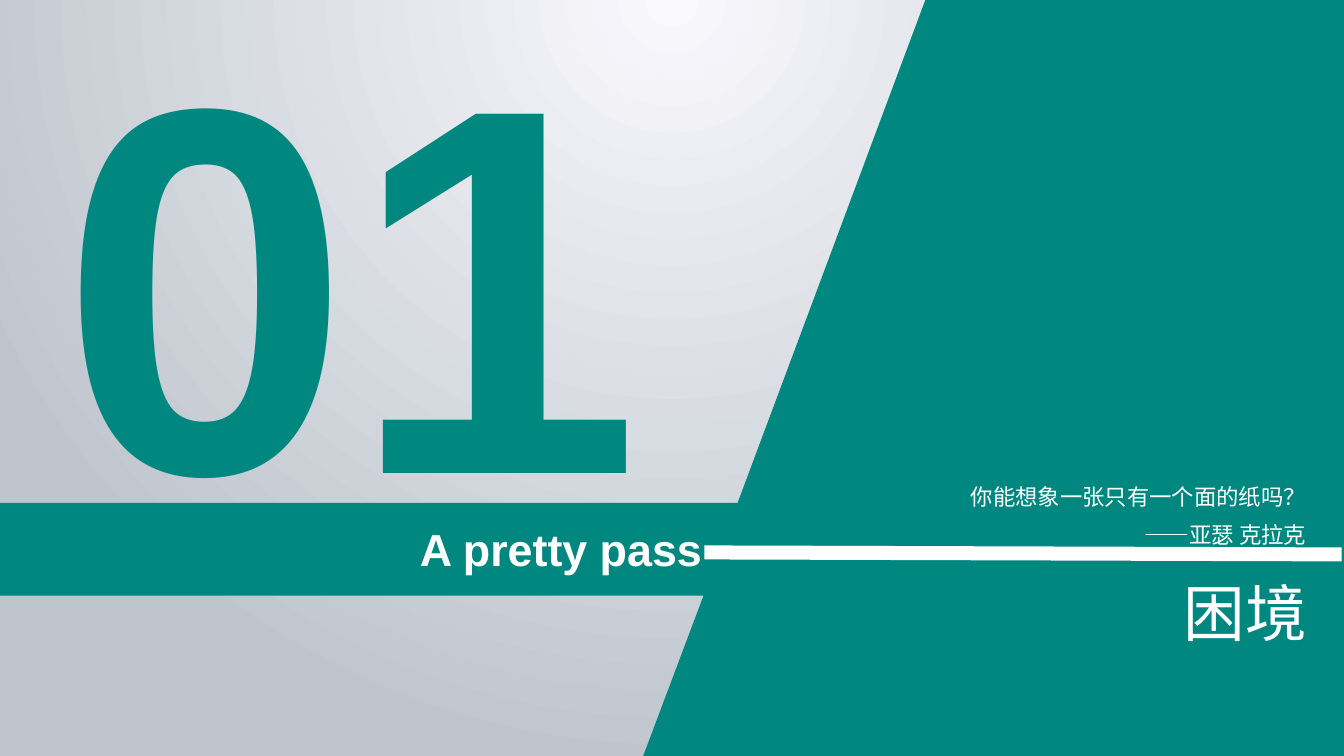
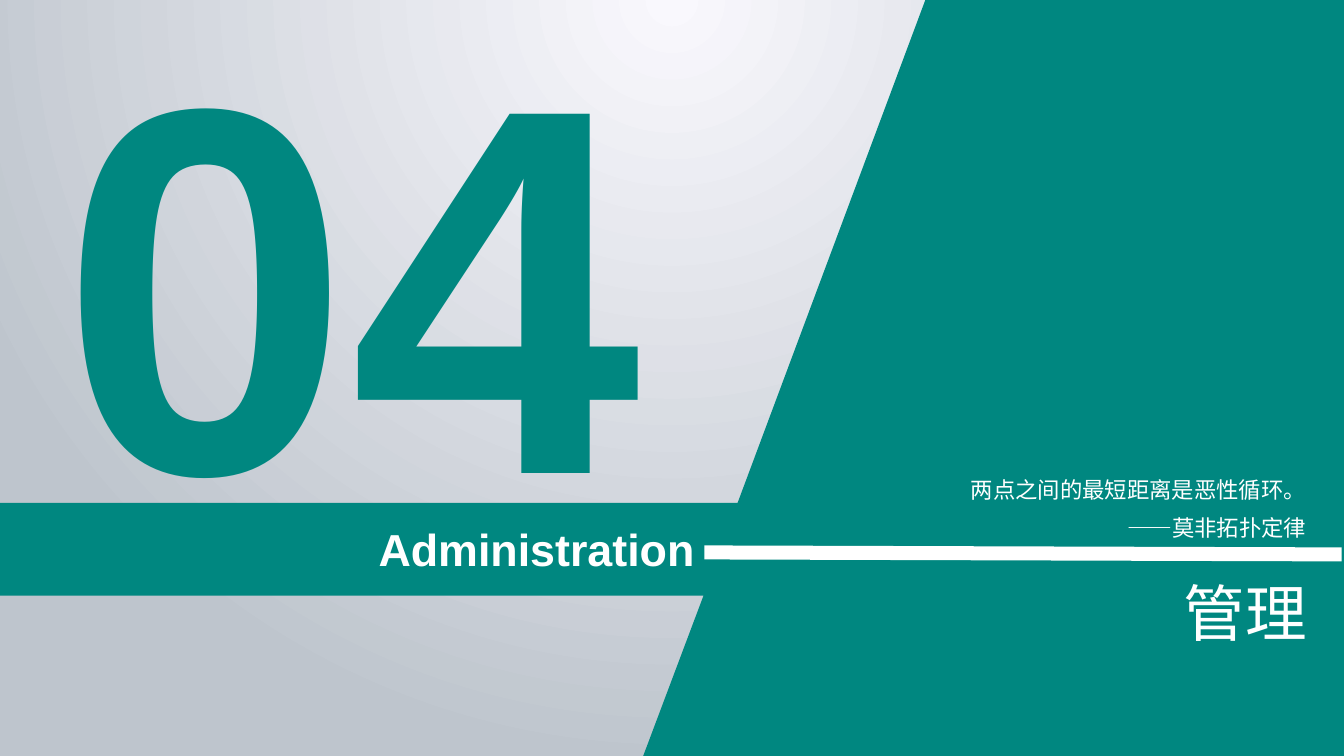
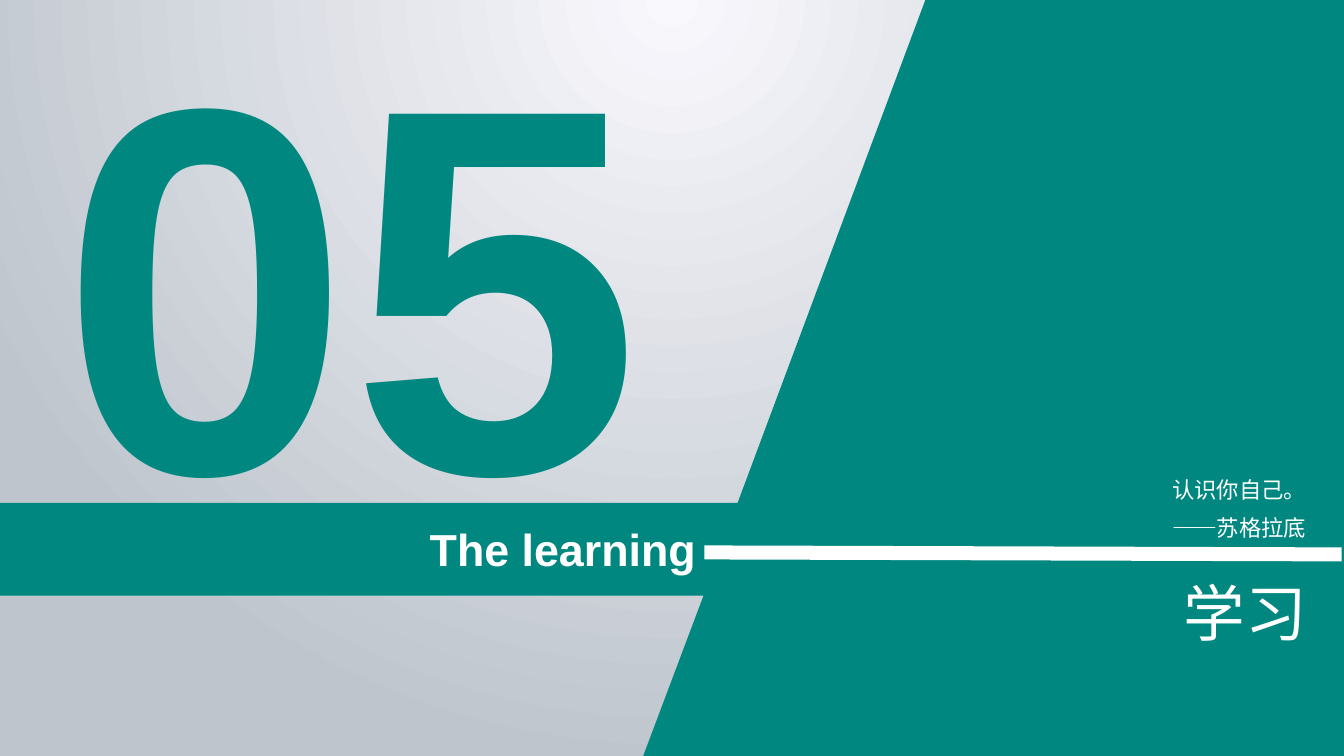
from dataclasses import dataclass

from lxml import etree
from pptx import Presentation
from pptx.dml.color import RGBColor
from pptx.enum.shapes import MSO_CONNECTOR
from pptx.enum.text import MSO_ANCHOR, MSO_AUTO_SIZE, PP_ALIGN
from pptx.oxml import parse_xml
from pptx.oxml.ns import nsdecls, qn
from pptx.util import Cm, Pt

STRAIGHT = MSO_CONNECTOR.STRAIGHT
TOP = MSO_ANCHOR.TOP
NO_FIT = MSO_AUTO_SIZE.NONE
GROW = MSO_AUTO_SIZE.SHAPE_TO_FIT_TEXT
LEFT, RIGHT = PP_ALIGN.LEFT, PP_ALIGN.RIGHT


@dataclass(frozen=True)
class Theme:
    teal: RGBColor = RGBColor(0x00, 0x87, 0x80)
    white: RGBColor = RGBColor(0xFF, 0xFF, 0xFF)
    glow: str = "F9F8FD"
    haze: str = "BEC5CD"
    latin: str = "Arial"
    chinese: str = "Noto Sans CJK SC"
    number_size: Pt = Pt(373)
    title_size: Pt = Pt(44)
    english_size: Pt = Pt(32)
    quote_size: Pt = Pt(16)
    rule_width: Pt = Pt(10)


THEME = Theme()
WIDTH, HEIGHT = 33.87, 19.05
BAND_TOP, BAND_BOTTOM = 12.67, 15.01
PANEL_OUTLINE = [
    (23.32, 0), (WIDTH, 0), (WIDTH, HEIGHT), (16.21, HEIGHT),
    (17.73, BAND_BOTTOM), (0, BAND_BOTTOM), (0, BAND_TOP), (18.59, BAND_TOP),
]

# number, title, English title, its left and width, quote, its top
SECTIONS = [
    ("01", "困境", "A pretty pass", 10.33, 7.7,
     ["你能想象一张只有一个面的纸吗？", "——亚瑟 克拉克"], 11.78),
    ("04", "管理", "Administration", 9.29, 8.55,
     ["两点之间的最短距离是恶性循环。", "——莫非拓扑定律"], 11.61),
    ("05", "学习", "The learning", 10.58, 7.3,
     ["认识你自己。", "——苏格拉底"], 11.61),
]


def place(shape, left, top, width, height):
    shape.left, shape.top = Cm(left), Cm(top)
    shape.width, shape.height = Cm(width), Cm(height)


def write(shape, lines, size, color, face, bold=False, align=LEFT,
          spacing=1.0, wrap=True):
    """Fill a text shape with evenly formatted paragraphs."""
    frame = shape.text_frame
    frame.text = "\n".join(lines)
    frame.word_wrap = wrap
    frame.auto_size = NO_FIT if wrap else GROW
    frame.vertical_anchor = TOP
    for paragraph in frame.paragraphs:
        paragraph.alignment = align
        paragraph.line_spacing = spacing
        paragraph.space_before = Pt(0)
        font = paragraph.font
        font.size, font.bold, font.name = size, bold, face
        font.color.rgb = color
        defaults = paragraph._p.pPr.find(qn("a:defRPr"))
        etree.SubElement(defaults, qn("a:ea"), typeface=face)


deck = Presentation()
deck.slide_width, deck.slide_height = Cm(WIDTH), Cm(HEIGHT)

backdrop = deck.slide_master.background
backdrop.fill.solid()
solid = deck.slide_master._element.find(".//" + qn("p:bgPr"))[0]
solid.getparent().replace(solid, parse_xml(
    f'<a:gradFill {nsdecls("a")} rotWithShape="1"><a:gsLst>'
    f'<a:gs pos="0"><a:srgbClr val="{THEME.glow}"/></a:gs>'
    f'<a:gs pos="100000"><a:srgbClr val="{THEME.haze}"/></a:gs></a:gsLst>'
    '<a:path path="circle">'
    '<a:fillToRect l="50000" t="-80000" r="50000" b="180000"/>'
    '</a:path></a:gradFill>'))

section_layout = deck.slide_layouts.get_by_name("Section Header")

for (number, title, english, english_left, english_width,
     quote, quote_top) in SECTIONS:
    slide = deck.slides.add_slide(section_layout)
    shapes = slide.shapes
    heading, quotation = slide.placeholders

    outline = shapes.build_freeform(*map(Cm, PANEL_OUTLINE[0]))
    outline.add_line_segments([(Cm(x), Cm(y)) for x, y in PANEL_OUTLINE[1:]])
    panel = outline.convert_to_shape()
    panel.shadow.inherit = False
    panel.fill.solid()
    panel.fill.fore_color.rgb = THEME.teal
    panel.line.fill.background()
    # The panel goes behind the placeholders
    heading._element.addprevious(panel._element)

    rule = shapes.add_connector(
        STRAIGHT, Cm(17.75), Cm(13.92), Cm(33.81), Cm(13.97))
    rule.line.color.rgb = THEME.white
    rule.line.width = THEME.rule_width
    etree.SubElement(rule._element.spPr, qn("a:effectLst"))

    numeral = shapes.add_textbox(Cm(1.27), Cm(-1.35), Cm(15.29), Cm(16.21))
    write(numeral, [number], THEME.number_size, THEME.teal, THEME.latin,
          bold=True, wrap=False)

    subtitle = shapes.add_textbox(
        Cm(english_left), Cm(13.02), Cm(english_width), Cm(1.63))
    write(subtitle, [english], THEME.english_size, THEME.white, THEME.latin,
          bold=True, wrap=False)

    place(heading, 29.57, 14.37, 4.3, 2.13)
    write(heading, [title], THEME.title_size, THEME.white, THEME.chinese)

    place(quotation, 23.19, quote_top, 9.98, 2.11)
    write(quotation, quote, THEME.quote_size, THEME.white, THEME.chinese,
          align=RIGHT, spacing=1.4)

deck.save("out.pptx")
